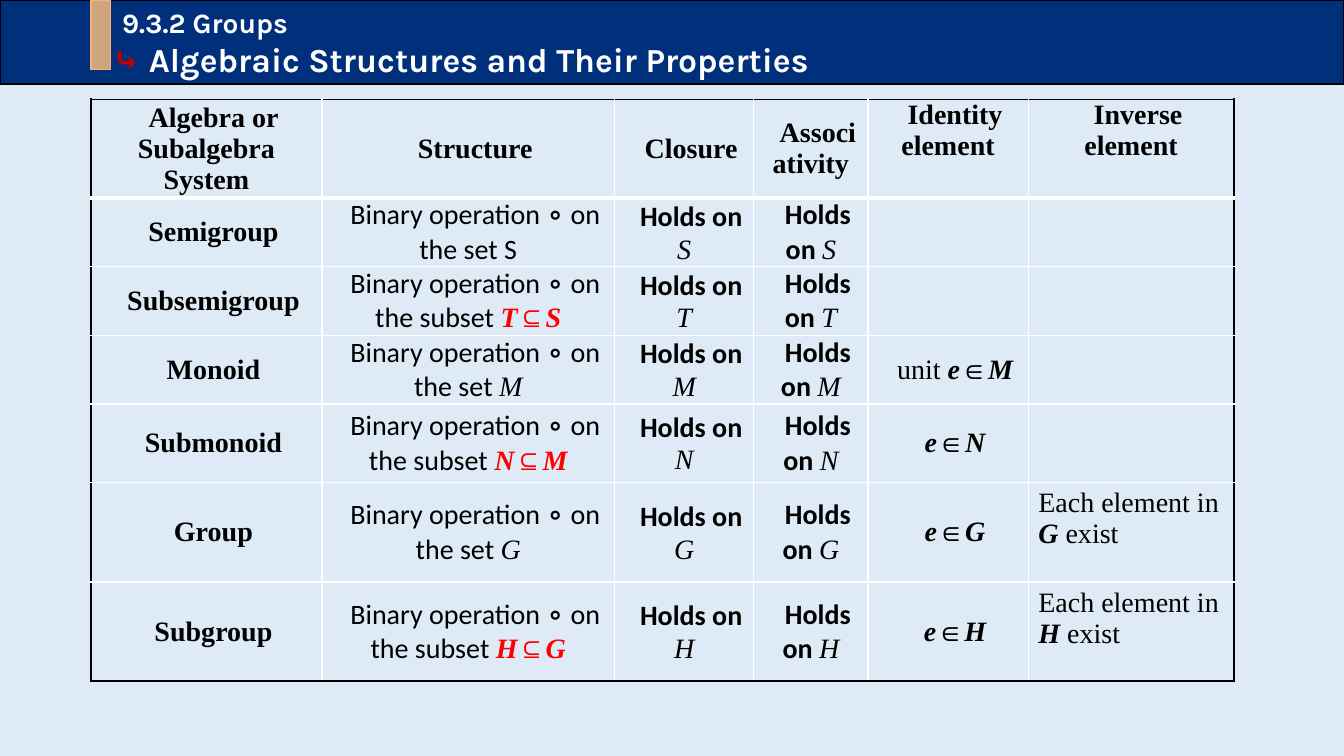
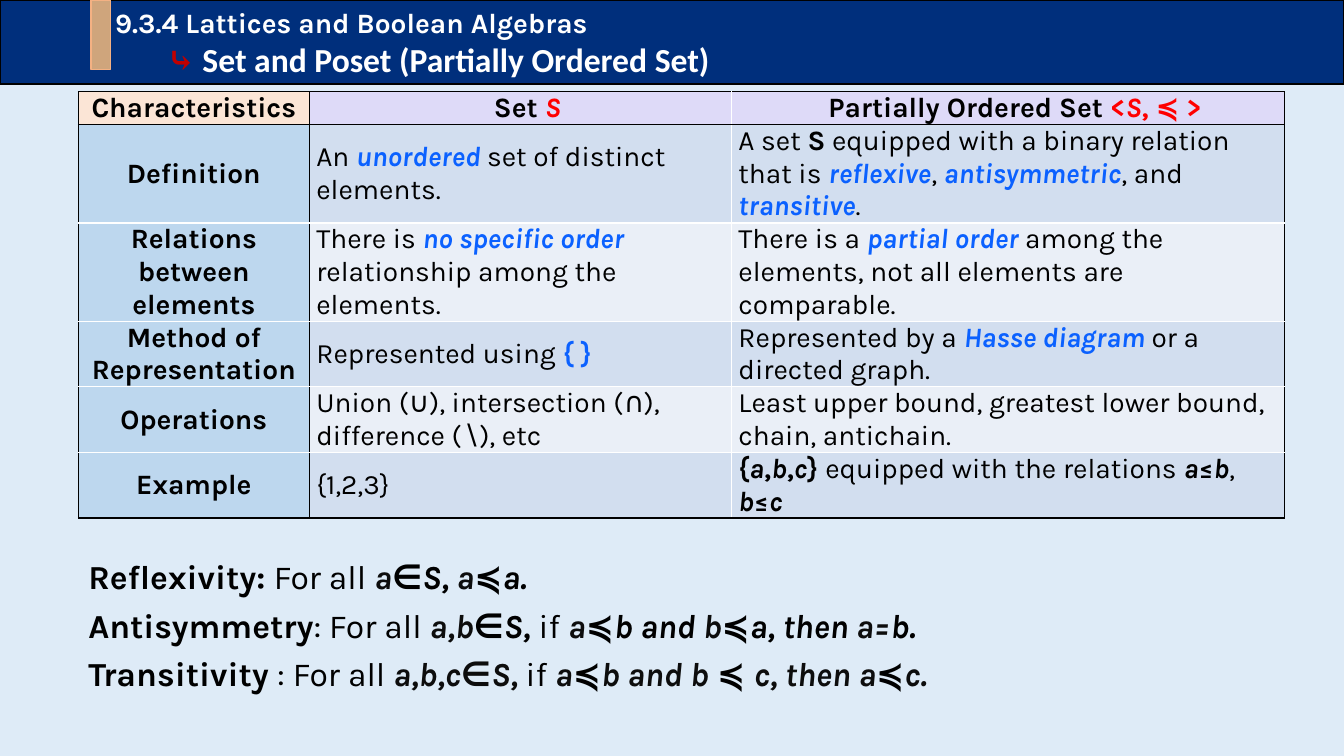
from dataclasses import dataclass, field

from lxml import etree
from pptx import Presentation
from pptx.dml.color import RGBColor
from pptx.enum.shapes import MSO_SHAPE
from pptx.enum.text import MSO_ANCHOR, MSO_AUTO_SIZE, PP_ALIGN
from pptx.oxml.ns import qn
from pptx.util import Pt


@dataclass(frozen=True)
class Theme:
    background: str = "DEEBF7"
    band: str = "002F7C"
    accent: str = "CFA57C"
    accent_line: str = "F4B183"
    black: str = "000000"
    white: str = "FFFFFF"
    stub_head: str = "FBE5D6"
    head: str = "DEDAF8"
    stub: str = "BDD7EE"
    stripes: tuple = ("D2DEEF", "EAEFF7")
    bases: dict = field(default_factory=lambda: {
        "serif": {"name": "Times New Roman", "size": 20, "color": "000000"},
        "body": {"name": "Karla", "size": 20, "color": "000000"},
        "laws": {"name": "Karla", "size": 24, "color": "000000"},
        "section": {"name": "Karla", "size": 20, "color": "FFFFFF", "bold": True},
        "title": {"name": "Karla", "size": 24, "color": "FFFFFF", "bold": True},
    })
    styles: dict = field(default_factory=lambda: {
        "bold": {"bold": True},
        "italic": {"italic": True},
        "bold italic": {"bold": True, "italic": True},
        "variable": {"bold": True, "italic": True, "color": "0D0D0D"},
        "term": {"bold": True, "italic": True, "color": "0B61FF"},
        "braces": {"bold": True, "color": "0B61FF"},
        "red": {"bold": True, "color": "FF0000"},
        "red italic": {"bold": True, "italic": True, "color": "FF0000"},
        "sans": {"name": "Calibri"},
        "sans bold": {"name": "Calibri", "bold": True},
        "arrow": {"color": "C00000"},
        "serif arrow": {"name": "Cambria", "color": "C00000"},
    })


THEME = Theme()

# A text is a list of runs; a run is a plain string or (string, style name).
GROUPS_TITLE = [
    (["9.3.2 Groups"], "section", 80),
    ([("⤷ ", "arrow"), "Algebraic Structures and Their Properties"], "title", 73),
]
LATTICES_TITLE = [
    (["9.3.4 Lattices and Boolean Algebras"], "section", 75),
    ([("⤷ ", "serif arrow"), ("Set and Poset (Partially Ordered Set)", "sans")],
     "title", 112),
]

ALGEBRA_HEADINGS = ["Algebra or Subalgebra System", "Structure", "Closure",
                    "Associativity", "Identity element", "Inverse element"]
# name, set, its style, parent set, lead of the identity, has inverses
ALGEBRAS = [
    ("Semigroup", "S", "sans", None, None, False),
    ("Subsemigroup", "T", "italic", "S", None, False),
    ("Monoid", "M", "italic", None, "unit ", False),
    ("Submonoid", "N", "italic", "M", "", False),
    ("Group", "G", "italic", None, "", True),
    ("Subgroup", "H", "italic", "G", "", True),
]
ALGEBRA_COLUMNS = [165, 209, 99.5, 81.5, 114.5, 147]
ALGEBRA_ROWS = [70.5, 47, 47, 47, 56, 71, 71]

POSET_ROWS = [
    (["Characteristics"], ["Set ", ("S", "red italic")],
     ["Partially Ordered Set ", ("<", "red"), ("S", "red italic"), (", ≼ >", "red")]),
    (["Definition"],
     ["An ", ("unordered ", "term"), "set of distinct elements."],
     ["A set ", ("S", "bold"), " equipped with a binary relation that is ",
      ("reflexive", "term"), ", ", ("antisymmetric", "term"), ", and ",
      ("transitive", "term"), "."]),
    (["Relations between elements"],
     ["There is ", ("no specific order ", "term"),
      "relationship among the elements."],
     ["There is a ", ("partial order ", "term"),
      "among the elements, not all elements are comparable."]),
    (["Method of Representation"],
     ["Represented using ", ("{ }", "braces")],
     ["Represented by a ", ("Hasse diagram ", "term"), "or a directed graph."]),
    (["Operations"],
     ["Union (∪), intersection (∩), difference (∖), etc"],
     ["Least upper bound, greatest lower bound, chain, antichain."]),
    (["Example"], ["{1,2,3}"],
     [("{", "bold"), ("a", "bold italic"), (",", "bold"), ("b", "bold italic"),
      (",", "bold"), ("c", "bold italic"), ("} ", "bold"),
      "equipped with the relations ", ("a", "bold italic"), ("≤", "bold"),
      ("b", "bold italic"), ", ", ("b", "bold italic"), ("≤", "bold"),
      ("c", "bold italic")]),
]
POSET_COLUMNS = [165, 301.5, 395]
POSET_LINES = [1, 3, 3, 2, 2, 2]
POSET_LINE_HEIGHT = 23.4

LAWS = [
    [("Reflexivity: ", "bold"), "For all ", ("a", "variable"), ("∈", "bold"),
     ("S, ", "bold italic"), ("a", "variable"), ("≼", "bold"), ("a.", "bold italic")],
    [("Antisymmetry", "bold"), ": For all ", ("a,b", "variable"), ("∈", "bold"),
     ("S,", "bold italic"), " if ", ("a", "variable"), ("≼", "bold"),
     ("b and ", "bold italic"), ("b", "variable"), ("≼", "bold"),
     ("a, then ", "bold italic"), ("a=", "variable"), ("b.", "bold italic")],
    [("Transitivity ", "bold"), ": For all ", ("a,b,c∈S, ", "variable"), "if ",
     ("a", "variable"), ("≼", "bold"), ("b and b", "variable"), (" ≼ ", "bold"),
     ("c, then a", "variable"), ("≼", "bold"), ("c.", "variable")],
]

PAGE_WIDTH, PAGE_HEIGHT = 960, 540
BAND_HEIGHT = 60
FIRST_LINE_INDENT = 10


def points(*values):
    return [Pt(value) for value in values]


def write(paragraph, runs, base, extra=None, **format_values):
    """Fill a paragraph with runs, each style laid over the base style."""
    for name, value in format_values.items():
        setattr(paragraph, name, value)
    for item in runs:
        text, style = (item, None) if isinstance(item, str) else item
        values = {"bold": False, "italic": False, **THEME.bases[base],
                  **(extra or {}), **THEME.styles.get(style, {})}
        run = paragraph.add_run()
        run.text = text
        run.font.color.rgb = RGBColor.from_string(values.pop("color"))
        run.font.size = Pt(values.pop("size"))
        for name, value in values.items():
            setattr(run.font, name, value)


def indent(paragraph, left=0, first_line=0):
    properties = paragraph._p.get_or_add_pPr()
    properties.set("marL", str(Pt(left)))
    properties.set("indent", str(Pt(first_line)))


def paint(shape, fill, line):
    shape.fill.solid()
    shape.fill.fore_color.rgb = RGBColor.from_string(fill)
    shape.line.color.rgb = RGBColor.from_string(line)
    shape.line.width = Pt(1)


def place(shape, left, top, width, height):
    shape.left, shape.top, shape.width, shape.height = points(left, top, width, height)


def add_titled_slide(presentation, title_lines):
    slide = presentation.slides.add_slide(presentation.slide_layouts[5])
    title = slide.shapes.title
    place(title, 0, 0, PAGE_WIDTH, BAND_HEIGHT)
    paint(title, THEME.band, THEME.black)
    frame = title.text_frame
    frame.auto_size = MSO_AUTO_SIZE.NONE
    frame.vertical_anchor = MSO_ANCHOR.MIDDLE
    for index, (runs, base, left) in enumerate(title_lines):
        paragraph = frame.add_paragraph() if index else frame.paragraphs[0]
        indent(paragraph, left)
        write(paragraph, runs, base, alignment=PP_ALIGN.LEFT, space_before=Pt(0))
    marker = slide.shapes.add_shape(MSO_SHAPE.RECTANGLE, *points(65, 0, 14, 49.5))
    marker.shadow.inherit = False
    paint(marker, THEME.accent, THEME.accent_line)
    return slide


def set_borders(cell, borders):
    properties = cell._tc.get_or_add_tcPr()
    for side in "LRTB":
        color, width = borders[side]
        line = etree.SubElement(properties, qn(f"a:ln{side}"), w=str(Pt(width)))
        fill = etree.SubElement(line, qn("a:solidFill"))
        etree.SubElement(fill, qn("a:srgbClr"), val=color)


def add_grid(slide, left, top, widths, heights, outer, header, stub):
    """Add a plain table; header and stub are the rules beside the first row and column."""
    inner = (THEME.white, 1)
    table = slide.shapes.add_table(
        len(heights), len(widths),
        *points(left, top, sum(widths), sum(heights))).table
    table.first_row = table.horz_banding = False
    for column, width in zip(table.columns, widths):
        column.width = Pt(width)
    for row, height in zip(table.rows, heights):
        row.height = Pt(height)
    column_rules = [outer, stub] + [inner] * (len(widths) - 2) + [outer]
    row_rules = [outer, header] + [inner] * (len(heights) - 2) + [outer]
    for r in range(len(heights)):
        for c in range(len(widths)):
            set_borders(table.cell(r, c), {
                "L": column_rules[c], "R": column_rules[c + 1],
                "T": row_rules[r], "B": row_rules[r + 1]})
    return table


def fill_cell(cell, runs, base, extra=None, centred=True, first_line=0,
              margin=0, side_margin=5, anchor=MSO_ANCHOR.MIDDLE, color=None):
    if color:
        cell.fill.solid()
        cell.fill.fore_color.rgb = RGBColor.from_string(color)
    else:
        cell.fill.background()
    cell.vertical_anchor = anchor
    cell.margin_left = cell.margin_right = Pt(side_margin)
    cell.margin_top = cell.margin_bottom = Pt(margin)
    paragraph = cell.text_frame.paragraphs[0]
    indent(paragraph, first_line=first_line)
    write(paragraph, runs, base, extra,
          alignment=PP_ALIGN.CENTER if centred else PP_ALIGN.LEFT)


def algebra_cells(name, symbol, symbol_style, parent, lead, has_inverses):
    structure = [("Binary operation ", "sans"), ("∘", "sans bold")]
    if parent:
        structure += [(" on the subset ", "sans"), (symbol, "red italic"),
                      ("⊆", "red"), (parent, "red italic")]
    else:
        structure += [(" on the set ", "sans"), (symbol, symbol_style)]
    holds = [("Holds on ", "sans bold"), (symbol, "italic")]
    identity = [] if lead is None else [
        *([lead] if lead else []),
        ("e", "bold italic"), ("∈", "bold"), (symbol, "bold italic")]
    inverse = ["Each element in ", (symbol + " ", "bold italic"),
               "exist"] if has_inverses else []
    return [[(name, "bold")], structure, holds, holds, identity, inverse]


def build_groups(presentation):
    slide = add_titled_slide(presentation, GROUPS_TITLE)
    table = add_grid(slide, 65, 71, ALGEBRA_COLUMNS, ALGEBRA_ROWS,
                     outer=(THEME.black, 1.5), header=(THEME.white, 3),
                     stub=(THEME.white, 1))
    rows = [[[(heading, "bold")] for heading in ALGEBRA_HEADINGS]]
    rows += [algebra_cells(*algebra) for algebra in ALGEBRAS]
    last = len(ALGEBRA_COLUMNS) - 1
    for r, row in enumerate(rows):
        for c, runs in enumerate(row):
            options = {"first_line": FIRST_LINE_INDENT, "margin": 3.6 if r > 3 else 0}
            if r and c == last:
                options = {"centred": False, "margin": 3.6, "side_margin": 7.2,
                           "anchor": MSO_ANCHOR.TOP}
            elif r == 0 and c >= last - 1:
                options["anchor"] = MSO_ANCHOR.TOP
            fill_cell(table.cell(r, c), runs, "serif", **options)


def build_lattices(presentation):
    slide = add_titled_slide(presentation, LATTICES_TITLE)
    rule = (THEME.black, 1)
    heights = [lines * POSET_LINE_HEIGHT for lines in POSET_LINES]
    table = add_grid(slide, 56, 65.5, POSET_COLUMNS, heights,
                     outer=rule, header=rule, stub=rule)
    for r, row in enumerate(POSET_ROWS):
        for c, runs in enumerate(row):
            heading = r == 0 or c == 0
            if r == 0:
                color = THEME.head if c else THEME.stub_head
            else:
                color = THEME.stripes[(r - 1) % 2] if c else THEME.stub
            fill_cell(table.cell(r, c), runs, "body", {"bold": heading},
                      centred=heading, color=color,
                      first_line=FIRST_LINE_INDENT if r == 0 and c else 0)
    frame = slide.shapes.add_textbox(*points(56, 388, 678, 104.5)).text_frame
    frame.word_wrap = True
    for index, law in enumerate(LAWS):
        paragraph = frame.add_paragraph() if index else frame.paragraphs[0]
        write(paragraph, law, "laws", line_spacing=1.2)


def main():
    presentation = Presentation()
    presentation.slide_width, presentation.slide_height = points(PAGE_WIDTH, PAGE_HEIGHT)
    background = presentation.slide_master.background.fill
    background.solid()
    background.fore_color.rgb = RGBColor.from_string(THEME.background)
    build_groups(presentation)
    build_lattices(presentation)
    presentation.save("out.pptx")


if __name__ == "__main__":
    main()
